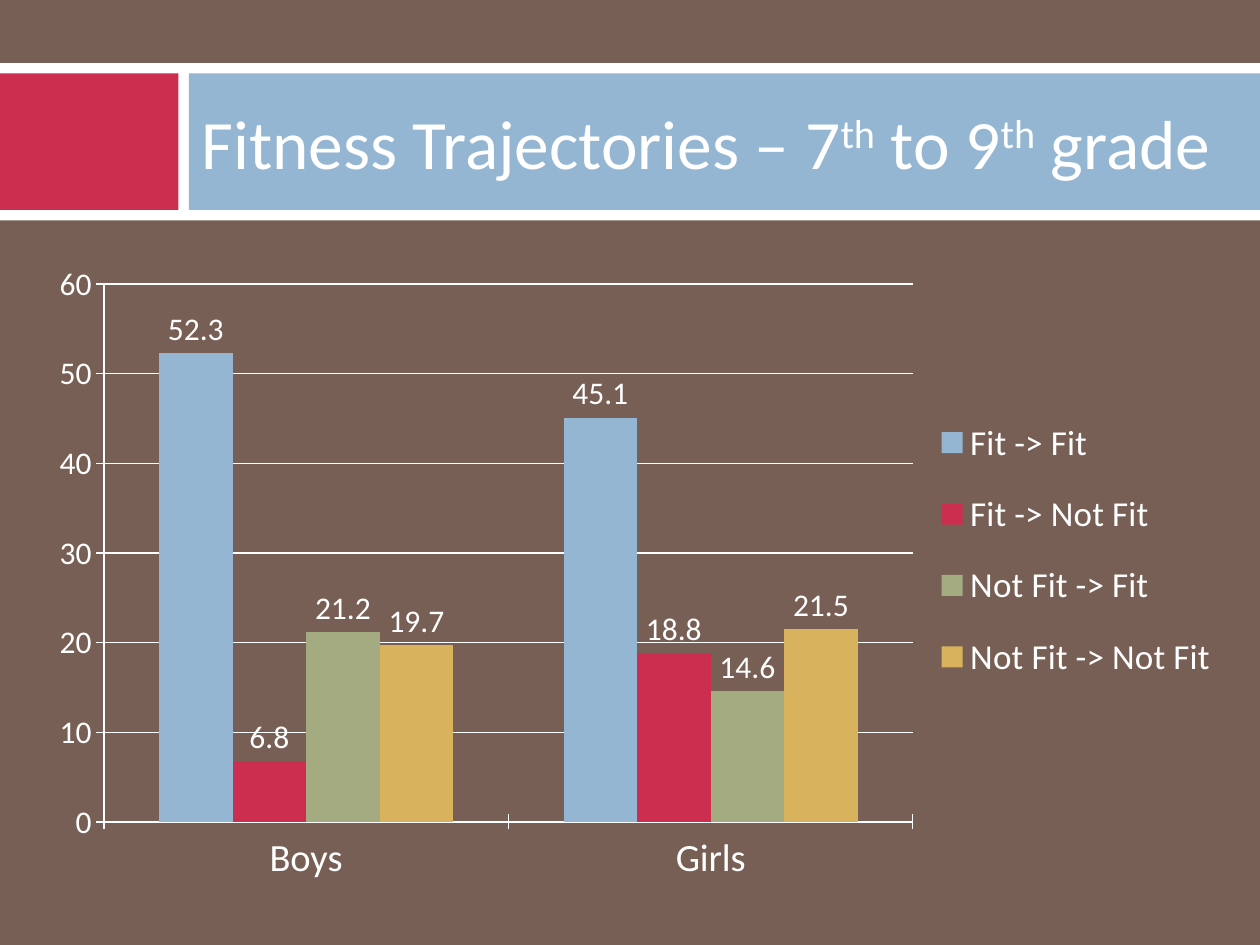
from dataclasses import dataclass

from lxml import etree
from pptx import Presentation
from pptx.chart.data import CategoryChartData
from pptx.dml.color import RGBColor
from pptx.enum.chart import XL_CHART_TYPE, XL_LABEL_POSITION, XL_LEGEND_POSITION, XL_TICK_MARK
from pptx.enum.shapes import MSO_SHAPE
from pptx.enum.text import MSO_ANCHOR
from pptx.oxml.ns import qn
from pptx.util import Pt

PX = 7620
RECTANGLE = MSO_SHAPE.RECTANGLE
MIDDLE = MSO_ANCHOR.MIDDLE
CLUSTERED = XL_CHART_TYPE.COLUMN_CLUSTERED
OUTSIDE_END = XL_LABEL_POSITION.OUTSIDE_END
LEGEND_RIGHT = XL_LEGEND_POSITION.RIGHT
CROSS = XL_TICK_MARK.CROSS
NO_TICK = XL_TICK_MARK.NONE


@dataclass(frozen=True)
class Theme:
    """Colours, font and type sizes of the slide."""

    font: str = "Calibri"
    background: str = "775F55"
    white: str = "FFFFFF"
    blue: str = "94B6D2"
    red: str = "CC2E50"
    green: str = "A5AB81"
    gold: str = "D8B25C"
    title: float = 39.6
    category: int = 22
    legend: int = 20
    body: int = 18
    line: float = 0.75


class SlideBuilder:
    """Draws themed elements on the current slide."""

    def __init__(self, slide, theme):
        """Keep the slide and theme, and paint the background."""
        self.slide = slide
        self.theme = theme
        self.paint(slide.background.fill, theme.background)

    def paint(self, fill, color):
        """Make a fill solid in one colour."""
        fill.solid()
        fill.fore_color.rgb = RGBColor.from_string(color)

    def style(self, font, size):
        """Set the theme font in white at a size."""
        font.name = self.theme.font
        font.size = Pt(size)
        font.color.rgb = RGBColor.from_string(self.theme.white)

    def rule(self, line):
        """Set a thin white chart line."""
        line.width = Pt(self.theme.line)
        line.color.rgb = RGBColor.from_string(self.theme.white)

    def block(self, box, color):
        """Add a plain filled rectangle."""
        shape = self.slide.shapes.add_shape(RECTANGLE, *(n * PX for n in box))
        shape.shadow.inherit = False
        self.paint(shape.fill, color)
        shape.line.fill.background()

    def title(self, box, runs):
        """Add the title from pairs of text and superscript flag."""
        frame = self.slide.shapes.add_textbox(*(n * PX for n in box)).text_frame
        frame.word_wrap = True
        frame.vertical_anchor = MIDDLE
        for text, raised in runs:
            run = frame.paragraphs[0].add_run()
            run.text = text
            self.style(run.font, self.theme.title)
            if raised:
                run._r.get_or_add_rPr().set("baseline", "30000")

    def place(self, element, index, target, bounds):
        """Give a chart part a manual layout in fractions of the chart."""
        for old in element.findall(qn("c:layout")):
            element.remove(old)
        layout = etree.Element(qn("c:layout"))
        manual = etree.SubElement(layout, qn("c:manualLayout"))
        settings = [("layoutTarget", target)] if target else []
        settings += [("xMode", "edge"), ("yMode", "edge")]
        settings += zip("xywh", bounds)
        for tag, value in settings:
            etree.SubElement(manual, qn(f"c:{tag}")).set("val", str(value))
        element.insert(index, layout)

    def columns(self, box, categories, series):
        """Add a clustered column chart with value labels and a legend."""
        data = CategoryChartData(number_format="0.0")
        data.categories = categories
        for name, values, _ in series:
            data.add_series(name, values)
        chart = self.slide.shapes.add_chart(CLUSTERED, *(n * PX for n in box), data).chart
        chart.has_title = False
        self.style(chart.font, self.theme.body)
        plot = chart.plots[0]
        plot.vary_by_categories = False
        plot.gap_width = 150
        plot.overlap = 0
        for column, (_, _, color) in zip(plot.series, series):
            self.paint(column.format.fill, color)
            labels = column.data_labels
            labels.show_value = True
            labels.number_format = "0.0"
            labels.number_format_is_linked = False
            labels.position = OUTSIDE_END
            self.style(labels.font, self.theme.body)
        sizes = (self.theme.category, self.theme.body)
        for axis, size in zip((chart.category_axis, chart.value_axis), sizes):
            axis.major_tick_mark = CROSS
            axis.minor_tick_mark = NO_TICK
            self.rule(axis.format.line)
            self.style(axis.tick_labels.font, size)
        scale = chart.value_axis
        scale.minimum_scale, scale.maximum_scale, scale.major_unit = 0, 60, 10
        scale.tick_labels.number_format = "0"
        scale.tick_labels.number_format_is_linked = False
        scale.has_major_gridlines = True
        self.rule(scale.major_gridlines.format.line)
        chart.has_legend = True
        chart.legend.position = LEGEND_RIGHT
        chart.legend.include_in_layout = False
        self.style(chart.legend.font, self.theme.legend)
        self.place(chart._chartSpace.chart.plotArea, 0, "inner", (0.06, 0.05, 0.67, 0.84))
        self.place(chart.legend._element, 1, None, (0.74, 0.22, 0.25, 0.49))


def main():
    """Build the fitness trajectories slide."""
    theme = Theme()
    deck = Presentation()
    deck.slide_width, deck.slide_height = 1200 * PX, 900 * PX
    builder = SlideBuilder(deck.slides.add_slide(deck.slide_layouts[6]), theme)

    builder.block((0, 60, 1200, 150), theme.white)
    builder.block((0, 70, 170, 130), theme.red)
    builder.block((180, 70, 1020, 130), theme.blue)
    builder.title(
        (180, 70, 1000, 130),
        [
            ("Fitness Trajectories – 7", False),
            ("th", True),
            (" to 9", False),
            ("th", True),
            (" grade", False),
        ],
    )
    builder.columns(
        (30, 240, 1150, 610),
        ("Boys", "Girls"),
        [
            ("Fit -> Fit", (52.3, 45.1), theme.blue),
            ("Fit -> Not Fit", (6.8, 18.8), theme.red),
            ("Not Fit -> Fit", (21.2, 14.6), theme.green),
            ("Not Fit -> Not Fit", (19.7, 21.5), theme.gold),
        ],
    )
    deck.save("out.pptx")


if __name__ == "__main__":
    main()
